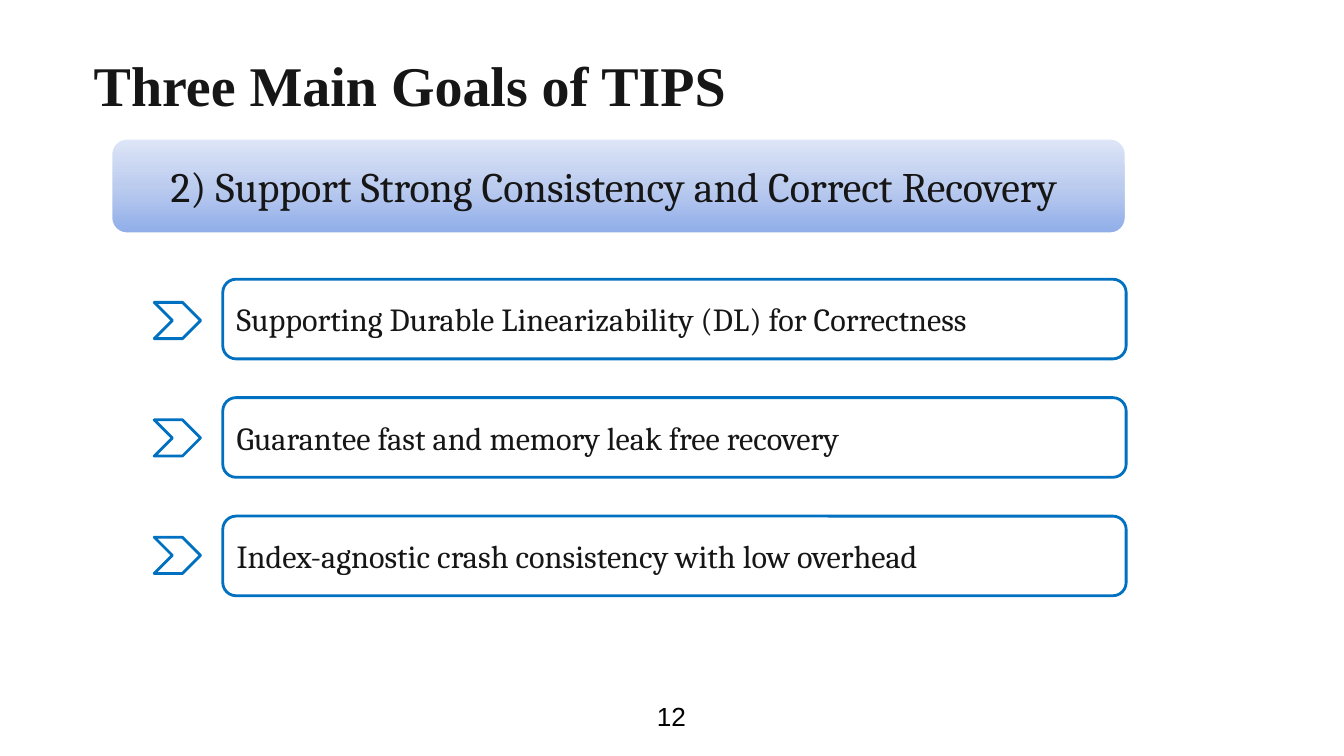
from copy import deepcopy
from dataclasses import dataclass

from pptx import Presentation
from pptx.dml.color import RGBColor
from pptx.enum.shapes import MSO_SHAPE
from pptx.enum.text import MSO_ANCHOR, PP_ALIGN
from pptx.util import Inches, Pt

TITLE = "Three Main Goals of TIPS"
GOAL = "2) Support Strong Consistency and Correct Recovery "
POINTS = [
    "Supporting Durable Linearizability (DL) for Correctness",
    "Guarantee fast and memory leak free recovery",
    "Index-agnostic crash consistency with low overhead",
]
PAGE = "12"


@dataclass(frozen=True)
class Theme:
    ink: str = "161616"
    black: str = "000000"
    white: str = "FFFFFF"
    blue: str = "0070C0"
    fade: tuple = ("8FADE9", "BCCCEF", "DEE6F7")
    line: float = 2
    title: float = 40
    goal: float = 30
    point: float = 23
    page: float = 18.7
    serif: str = "Cambria"
    head: str = "Times New Roman"
    sans: str = "Arial"


THEME = Theme()
WIDE, HIGH = 13.33, 7.5
RIGHT = 11.17
GOAL_LEFT, MARK_LEFT, BOX_LEFT = 1.1, 1.53, 2.21
BOX_TOP, BOX_STEP, BOX_HIGH = 2.77, 1.175, 0.79
MARK_TOP, MARK_STEP, MARK_WIDE, MARK_HIGH = 3, 1.165, 0.46, 0.36


def color(code):
    return RGBColor.from_string(code)


def write(shape, text, size, face, ink=THEME.ink, bold=False,
          align=PP_ALIGN.LEFT, anchor=MSO_ANCHOR.MIDDLE, inset=None):
    frame = shape.text_frame
    frame.word_wrap = True
    frame.vertical_anchor = anchor
    if inset is not None:
        for side in ("left", "top", "right", "bottom"):
            setattr(frame, f"margin_{side}", Inches(inset))
    line = frame.paragraphs[0]
    line.alignment = align
    run = line.add_run()
    run.text = text
    form = {"size": Pt(size), "name": face, "bold": bold}
    for key, value in form.items():
        setattr(run.font, key, value)
    run.font.color.rgb = color(ink)


def draw(slide, kind, place, edge):
    shape = slide.shapes.add_shape(kind, *map(Inches, place))
    shape.shadow.inherit = False
    shape.fill.solid()
    shape.fill.fore_color.rgb = color(THEME.white)
    shape.line.color.rgb = color(edge)
    shape.line.width = Pt(THEME.line)
    return shape


def shade(shape, codes):
    """Fill with a three-stop gradient that runs upward."""
    shape.fill.gradient()
    shape.fill.gradient_angle = 90
    stops = shape.element.xpath("./p:spPr/a:gradFill/a:gsLst")[0]
    stops.insert(1, deepcopy(stops[0]))
    for index, (stop, code) in enumerate(zip(shape.fill.gradient_stops, codes)):
        stop.position = index / (len(codes) - 1)
        stop.color.rgb = color(code)


def main():
    deck = Presentation()
    deck.slide_width, deck.slide_height = Inches(WIDE), Inches(HIGH)
    slide = deck.slides.add_slide(deck.slide_layouts[6])

    title = slide.shapes.add_textbox(*map(Inches, (0.8, 0.5, 10.93, 0.8)))
    write(title, TITLE, THEME.title, THEME.head, bold=True,
          anchor=MSO_ANCHOR.BOTTOM, inset=0.13)
    page = slide.shapes.add_textbox(*map(Inches, (5.86, 6.7, 1.6, 0.8)))
    write(page, PAGE, THEME.page, THEME.sans, THEME.black,
          align=PP_ALIGN.CENTER, inset=0.13)

    goal = draw(slide, MSO_SHAPE.ROUNDED_RECTANGLE,
                (GOAL_LEFT, 1.37, RIGHT - GOAL_LEFT, 0.95), THEME.white)
    shade(goal, THEME.fade)
    write(goal, GOAL, THEME.goal, THEME.serif, align=PP_ALIGN.CENTER)

    for row, text in enumerate(POINTS):
        box = draw(slide, MSO_SHAPE.ROUNDED_RECTANGLE,
                   (BOX_LEFT, BOX_TOP + row * BOX_STEP,
                    RIGHT - BOX_LEFT, BOX_HIGH), THEME.blue)
        write(box, text, THEME.point, THEME.serif)
        draw(slide, MSO_SHAPE.CHEVRON,
             (MARK_LEFT, MARK_TOP + row * MARK_STEP, MARK_WIDE, MARK_HIGH),
             THEME.blue)

    deck.save("out.pptx")


if __name__ == "__main__":
    main()
